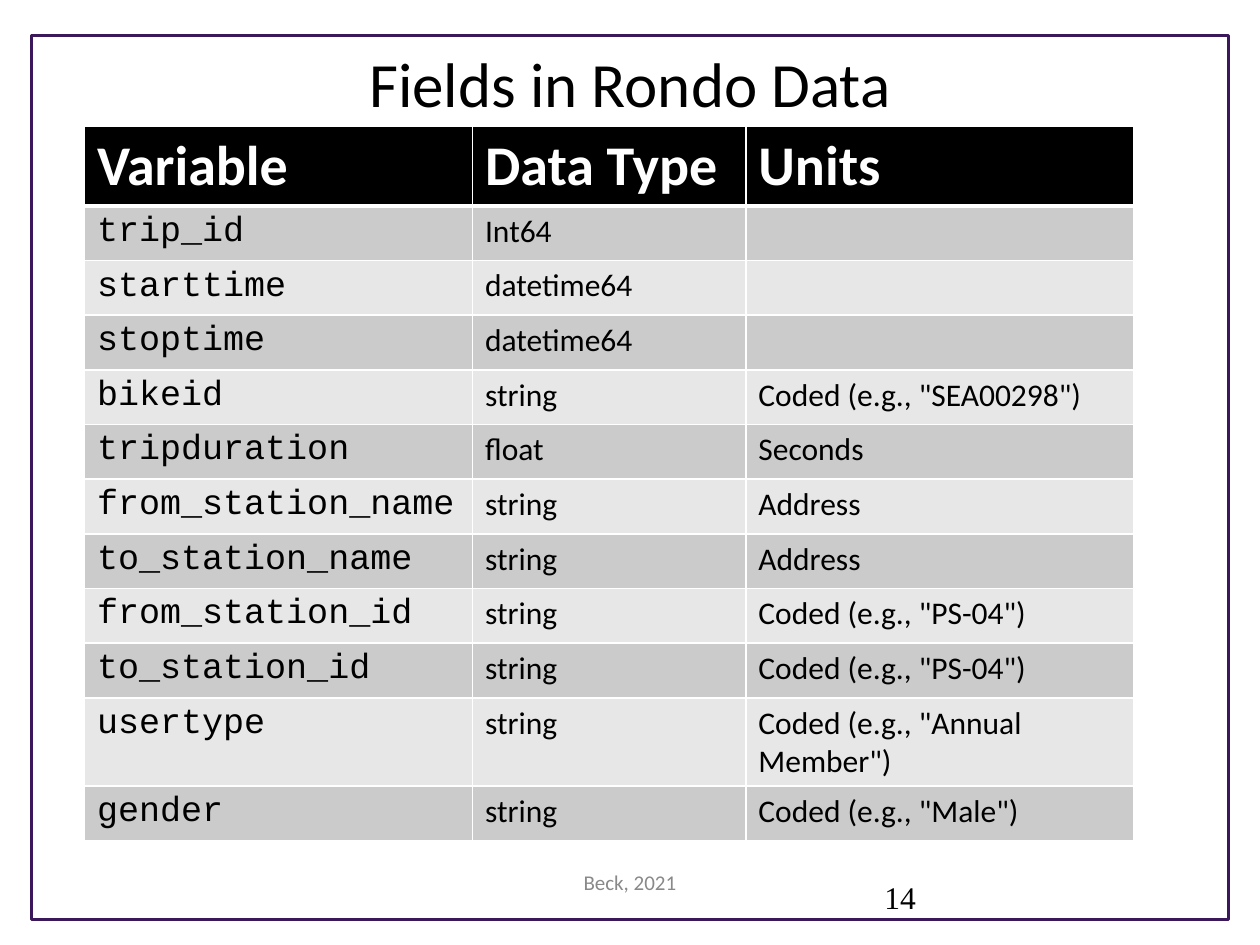
from lxml.etree import SubElement
from pptx import Presentation
from pptx.dml.color import RGBColor
from pptx.enum.shapes import MSO_SHAPE
from pptx.enum.text import MSO_ANCHOR, PP_ALIGN
from pptx.oxml.ns import qn
from pptx.util import Inches, Pt

WIDE, HIGH = 10, 7.5
HEX = {"ink": "000000", "paper": "FFFFFF", "edge": "3B185A",
       "note": "898989", "dark": "CBCBCB", "light": "E7E7E7"}
SANS, MONO, SERIF = "Calibri", "Courier New", "Times New Roman"

HEAD = ("Variable", "Data Type", "Units")
ROWS = [
    ("trip_id", "Int64", ""),
    ("starttime", "datetime64", ""),
    ("stoptime", "datetime64", ""),
    ("bikeid", "string", 'Coded (e.g., "SEA00298")'),
    ("tripduration", "float", "Seconds"),
    ("from_station_name", "string", "Address"),
    ("to_station_name", "string", "Address"),
    ("from_station_id", "string", 'Coded (e.g., "PS-04")'),
    ("to_station_id", "string", 'Coded (e.g., "PS-04")'),
    ("usertype", "string", 'Coded (e.g., "Annual Member")'),
    ("gender", "string", 'Coded (e.g., "Male")'),
]


def color(name):
    return RGBColor.from_string(HEX[name])


class Page:
    """Style and current slide; places are shares of the slide's size."""

    def __init__(self, deck):
        deck.slide_width, deck.slide_height = Inches(WIDE), Inches(HIGH)
        self.slide = deck.slides.add_slide(deck.slide_layouts[6])
        self.shapes = self.slide.shapes

    def place(self, x, y, w, h):
        return [Inches(n) for n in (x * WIDE, y * HIGH, w * WIDE, h * HIGH)]

    def frame(self, box, tint, width):
        rect = self.shapes.add_shape(MSO_SHAPE.RECTANGLE, *self.place(*box))
        rect.shadow.inherit = False
        rect.fill.background()
        rect.line.color.rgb = color(tint)
        rect.line.width = Pt(width)

    def add_run(self, para, words, size, font=SANS, tint="ink", bold=False):
        run = para.add_run()
        run.text = words
        run.font.size, run.font.name = Pt(size), font
        run.font.bold = bold
        run.font.color.rgb = color(tint)

    def text(self, box, words, size, align=PP_ALIGN.CENTER, **style):
        body = self.shapes.add_textbox(*self.place(*box)).text_frame
        body.word_wrap = True
        body.vertical_anchor = MSO_ANCHOR.TOP
        para = body.paragraphs[0]
        para.alignment = align
        self.add_run(para, words, size, **style)

    def border(self, cell, **widths):
        props = cell._tc.get_or_add_tcPr()
        for side, width in widths.items():
            line = SubElement(props, qn(f"a:ln{side}"), w=str(Pt(width)))
            fill = SubElement(line, qn("a:solidFill"))
            SubElement(fill, qn("a:srgbClr"), val=HEX["paper"])

    def cell(self, cell, row, col, words):
        # Thick rule between the header and the body
        self.border(cell, L=1, R=1, T=3 if row == 1 else 1,
                    B=3 if row == 0 else 1)
        band = "ink" if row == 0 else ("light", "dark")[row % 2]
        cell.fill.solid()
        cell.fill.fore_color.rgb = color(band)
        para = cell.text_frame.paragraphs[0]
        if not words:
            para.font.size = Pt(18)
        elif row == 0:
            self.add_run(para, words, 32, tint="paper", bold=True)
        elif col == 0:
            self.add_run(para, words, 20, MONO)
        else:
            self.add_run(para, words, 18)

    def table(self, x, y, cols, rows, data):
        box = self.place(x, y, sum(cols), sum(rows))
        grid = self.shapes.add_table(len(rows), len(cols), *box).table
        for col, share in zip(grid.columns, cols):
            col.width = Inches(share * WIDE)
        for row, share in zip(grid.rows, rows):
            row.height = Inches(share * HIGH)
        for i, line in enumerate(data):
            for j, words in enumerate(line):
                self.cell(grid.cell(i, j), i, j, words)


def main():
    deck = Presentation()
    page = Page(deck)

    # Frame and title
    page.frame((0.025, 0.28 / HIGH, 0.95, 7.02 / HIGH), "edge", 1.75)
    page.text((0.05, 0.04, 0.9, 1.25 / HIGH), "Fields in Rondo Data", 36)

    # Footer
    page.text((0.34, 6.85 / HIGH, 0.32, 0.4 / HIGH), "Beck, 2021", 12,
              tint="note")

    # Field table: the user type row holds two lines
    tall = [0.63] + [0.7 if row[0] == "usertype" else 0.43 for row in ROWS]
    page.table(0.67 / WIDE, 1 / HIGH, [w / WIDE for w in (3.08, 2.17, 3.08)],
               [h / HIGH for h in tall], [HEAD] + ROWS)

    # Page number
    page.text((6.92 / WIDE, 6.92 / HIGH, 0.19, 0.4 / HIGH), "14", 18,
              align=PP_ALIGN.LEFT, font=SERIF)

    deck.save("out.pptx")


if __name__ == "__main__":
    main()
